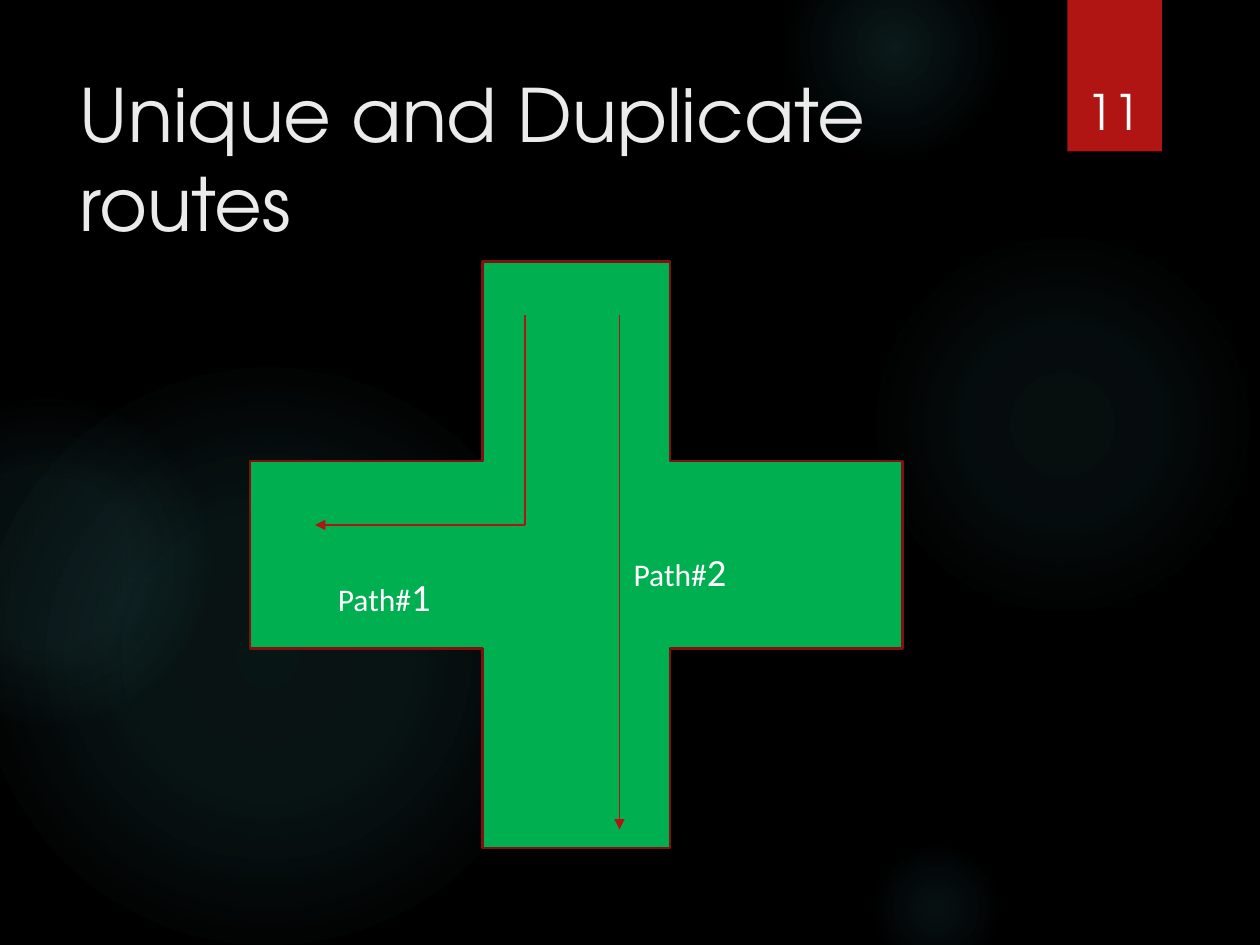
from dataclasses import dataclass

from lxml import etree
from pptx import Presentation
from pptx import util as u
from pptx.dml.color import RGBColor
from pptx.enum import shapes, text
from pptx.oxml import ns

Pt = u.Pt


@dataclass(frozen=True)
class Theme:
    background: str = "000000"
    glow: str = "50B9C1"
    accent: str = "B01513"
    outline: str = "82100E"
    road: str = "00B050"
    heading: str = "EBEBEB"
    white: str = "FFFFFF"
    heading_font: str = "TeX Gyre Adventor"
    label_font: str = "Calibri"
    title_size: float = 42
    number_size: float = 28
    label_size: float = 18
    digit_size: float = 22


@dataclass(frozen=True)
class Frame:
    left: float
    top: float
    width: float
    height: float

    def lengths(self) -> tuple:
        return Pt(self.left), Pt(self.top), Pt(self.width), Pt(self.height)


@dataclass(frozen=True)
class Glow:
    """A soft disc; stops pair a position with an opacity, both in percent."""
    left: float
    top: float
    size: float
    stops: tuple


@dataclass(frozen=True)
class Route:
    start: tuple
    end: tuple
    arrow: bool = True


@dataclass(frozen=True)
class PathLabel:
    digit: str
    left: float
    top: float


THEME = Theme()
GLOWS = (
    Glow(496, 131.5, 222, ((0, 7), (36, 6), (69, 0))),
    Glow(448, -36, 126, ((0, 14), (36, 7), (73, 0))),
    Glow(496, 480, 78, ((0, 9), (36, 5), (66, 0))),
    Glow(-12, 210, 330, ((0, 11), (36, 10), (75, 0))),
    Glow(-66, 228, 186, ((0, 8), (36, 8), (72, 0))),
)
ROUTES = (
    Route((300, 180), (300, 300), arrow=False),
    Route((300, 300), (180, 300)),
    Route((354, 180), (354, 474)),
)
LABELS = (PathLabel("1", 186, 324), PathLabel("2", 355, 309.5))


def add_node(parent, tag: str, **attributes):
    node = etree.SubElement(parent, ns.qn(tag))
    for name, value in attributes.items():
        node.set(name, str(value))
    return node


def add_span(para, words: str, *, font: str, size: float, color: str) -> None:
    span = para.add_run()
    span.text = words
    span.font.name = font
    span.font.size = Pt(size)
    span.font.color.rgb = RGBColor.from_string(color)


def add_plain_shape(container, kind, frame: Frame):
    shape = container.add_shape(kind, *frame.lengths())
    shape.shadow.inherit = False
    shape.line.fill.background()
    return shape


def paint(shape, color: str) -> None:
    shape.fill.solid()
    shape.fill.fore_color.rgb = RGBColor.from_string(color)


def add_glow(container, glow: Glow) -> None:
    frame = Frame(glow.left, glow.top, glow.size, glow.size)
    disc = add_plain_shape(container, shapes.MSO_SHAPE.OVAL, frame)
    disc.fill.gradient()
    gradient = disc.element.spPr.find(ns.qn("a:gradFill"))
    for child in list(gradient):
        gradient.remove(child)
    stops = add_node(gradient, "a:gsLst")
    for position, opacity in glow.stops:
        stop = add_node(stops, "a:gs", pos=position * 1000)
        color = add_node(stop, "a:srgbClr", val=THEME.glow)
        add_node(color, "a:alpha", val=opacity * 1000)
    circle = add_node(gradient, "a:path", path="circle")
    add_node(circle, "a:fillToRect", l=50000, t=50000, r=50000, b=50000)


def add_number_tab(container, number: str) -> None:
    tab = add_plain_shape(container, shapes.MSO_SHAPE.RECTANGLE, Frame(610, 0, 54, 86.5))
    paint(tab, THEME.accent)
    effects = tab.element.spPr.find(ns.qn("a:effectLst"))
    shadow = add_node(effects, "a:outerShdw", blurRad=Pt(3), dist=Pt(2),
                      dir=90 * 60000, rotWithShape=0)
    color = add_node(shadow, "a:srgbClr", val="000000")
    add_node(color, "a:alpha", val=45000)

    box = container.add_textbox(*Frame(611.5, 23, 49.5, 60.5).lengths())
    box.text_frame.word_wrap = True
    box.text_frame.vertical_anchor = text.MSO_ANCHOR.BOTTOM
    para = box.text_frame.paragraphs[0]
    para.alignment = text.PP_ALIGN.CENTER
    add_span(para, number, font=THEME.heading_font, size=THEME.number_size,
             color=THEME.white)


def set_title(slide, words: str) -> None:
    title = slide.shapes.title
    title.left, title.top, title.width, title.height = Frame(38, 36, 556, 110).lengths()
    title.element.getparent().append(title.element)  # in front of the backdrop
    frame = title.text_frame
    frame.word_wrap = True
    frame.auto_size = text.MSO_AUTO_SIZE.NONE
    frame.vertical_anchor = text.MSO_ANCHOR.TOP
    para = frame.paragraphs[0]
    para.alignment = text.PP_ALIGN.LEFT
    add_span(para, words, font=THEME.heading_font, size=THEME.title_size,
             color=THEME.heading)


def add_route(container, route: Route) -> None:
    points = [Pt(value) for value in (*route.start, *route.end)]
    line = container.add_connector(shapes.MSO_CONNECTOR.STRAIGHT, *points)
    line.line.width = Pt(0.75)
    line.line.color.rgb = RGBColor.from_string(THEME.accent)
    if route.arrow:
        add_node(line.line._get_or_add_ln(), "a:tailEnd", type="triangle")
    add_node(line.element.spPr, "a:effectLst")


def add_path_label(container, label: PathLabel) -> None:
    box = container.add_textbox(*Frame(label.left, label.top, 96, 34).lengths())
    box.text_frame.word_wrap = True
    box.text_frame.auto_size = text.MSO_AUTO_SIZE.SHAPE_TO_FIT_TEXT
    para = box.text_frame.paragraphs[0]
    for words, size in (("Path#", THEME.label_size), (label.digit, THEME.digit_size)):
        add_span(para, words, font=THEME.label_font, size=size, color=THEME.white)


def add_crossroads(slide) -> None:
    group = slide.shapes.add_group_shape().shapes
    roads = add_plain_shape(group, shapes.MSO_SHAPE.MATH_PLUS, Frame(75.5, 89, 507.5, 456))
    paint(roads, THEME.road)
    roads.line.color.rgb = RGBColor.from_string(THEME.outline)
    roads.line.width = Pt(1.5)
    for route in ROUTES:
        add_route(group, route)
    for label in LABELS:
        add_path_label(group, label)


def main() -> None:
    deck = Presentation()
    deck.slide_width, deck.slide_height = Pt(720), Pt(540)
    page = deck.slides.add_slide(deck.slide_layouts.get_by_name("Title Only"))
    paint(page.background, THEME.background)
    for glow in GLOWS:
        add_glow(page.shapes, glow)
    add_number_tab(page.shapes, "11")
    set_title(page, "Unique and Duplicate routes")
    add_crossroads(page)
    deck.save("out.pptx")


if __name__ == "__main__":
    main()
